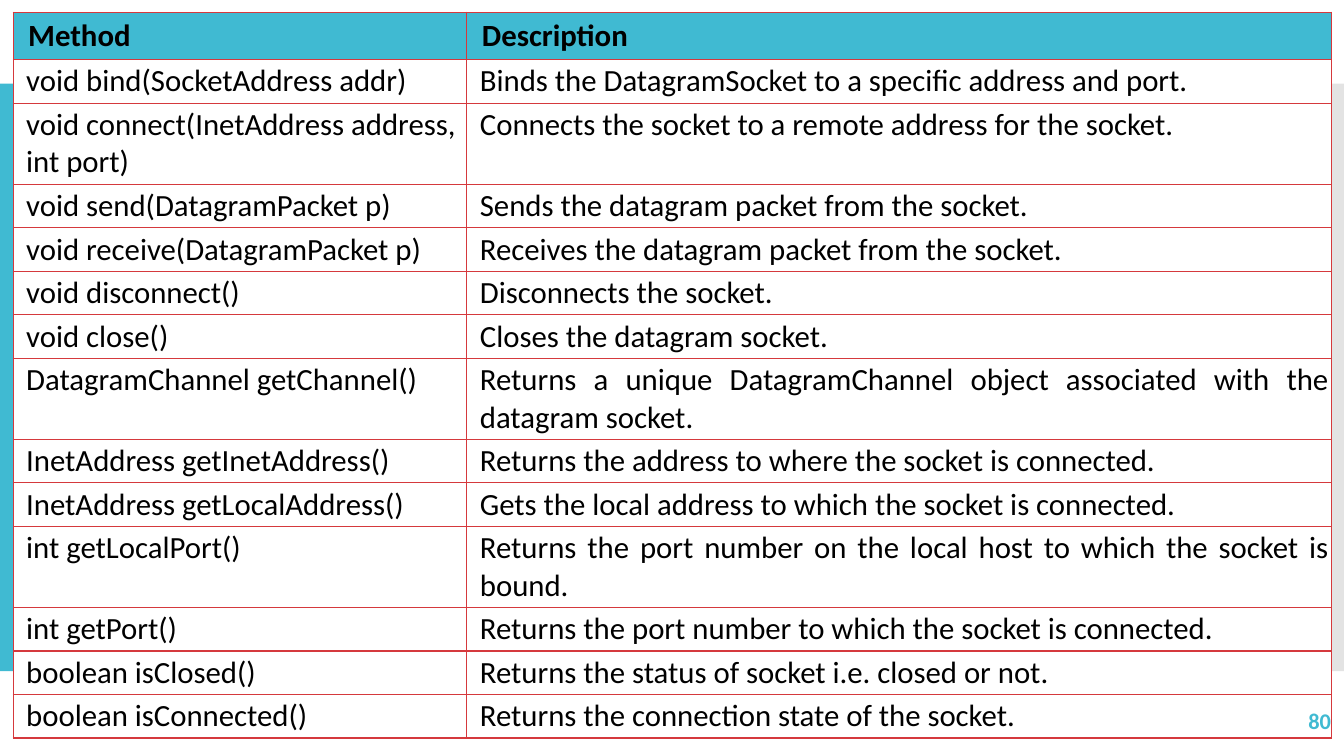
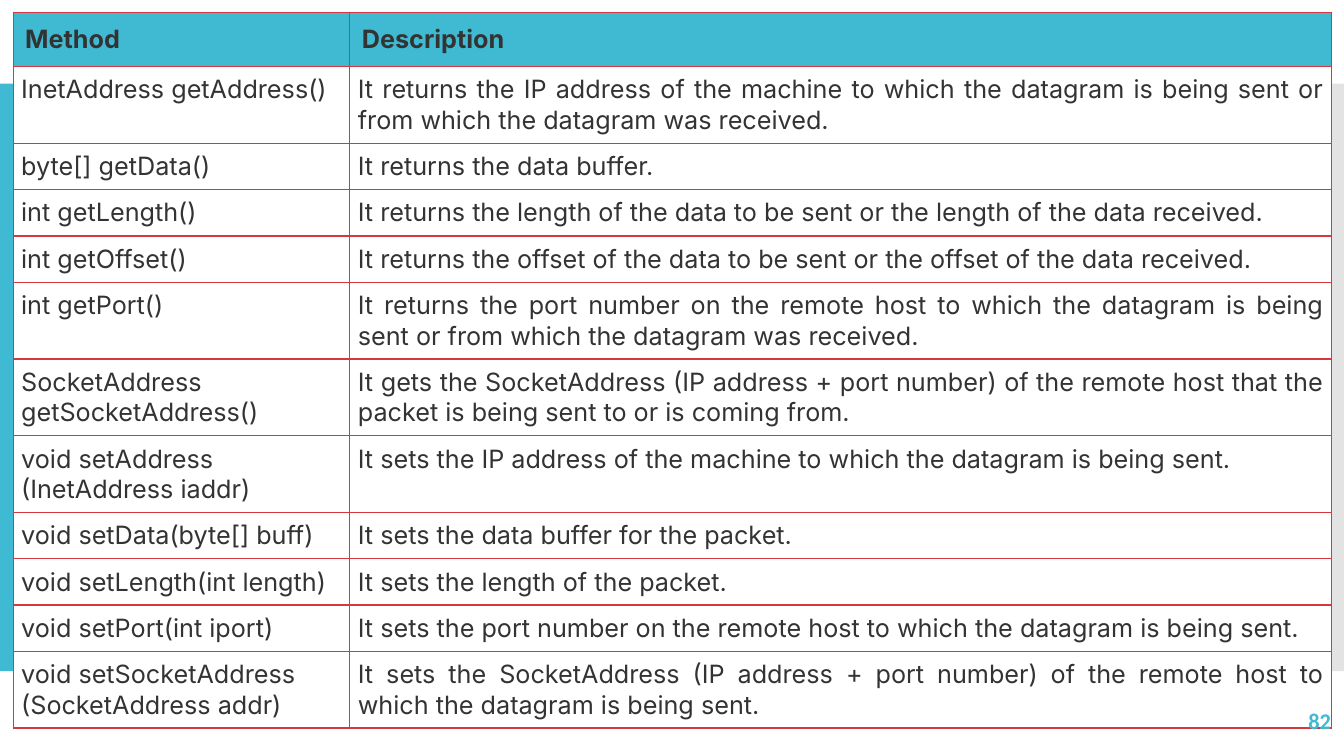
from lxml import etree
from pptx import Presentation
from pptx.dml.color import RGBColor
from pptx.enum.shapes import MSO_SHAPE
from pptx.enum.text import MSO_ANCHOR, PP_ALIGN
from pptx.oxml.ns import qn
from pptx.util import Inches, Pt

RECTANGLE = MSO_SHAPE.RECTANGLE
MIDDLE = MSO_ANCHOR.MIDDLE
LEFT, RIGHT, JUSTIFY = PP_ALIGN.LEFT, PP_ALIGN.RIGHT, PP_ALIGN.JUSTIFY

TEAL, GRAY, WHITE = "40BAD2", "C8C8C8", "FFFFFF"
BLACK, CHARCOAL, RED = "000000", "333333", "D5393D"
BLANK_LAYOUT = 6
BORDER_WIDTH = 1
TABLE_LEFT, TABLE_TOP, ROW_HEIGHT = 0.13, 0.12, 0.4
HEADER = ("Method", "Description")

SOCKET_METHODS = [
    ("void bind(SocketAddress addr)", "Binds the DatagramSocket to a specific address and port."),
    ("void connect(InetAddress address, int port)",
     "Connects the socket to a remote address for the socket."),
    ("void send(DatagramPacket p)", "Sends the datagram packet from the socket."),
    ("void receive(DatagramPacket p)", "Receives the datagram packet from the socket."),
    ("void disconnect()", "Disconnects the socket."),
    ("void close()", "Closes the datagram socket."),
    ("DatagramChannel getChannel()",
     "Returns a unique DatagramChannel object associated with the datagram socket."),
    ("InetAddress getInetAddress()", "Returns the address to where the socket is connected."),
    ("InetAddress getLocalAddress()", "Gets the local address to which the socket is connected."),
    ("int getLocalPort()",
     "Returns the port number on the local host to which the socket is bound."),
    ("int getPort()", "Returns the port number to which the socket is connected."),
    ("boolean isClosed()", "Returns the status of socket i.e. closed or not."),
    ("boolean isConnected()", "Returns the connection state of the socket."),
]

PACKET_METHODS = [
    ("InetAddress getAddress()",
     "It returns the IP address of the machine to which the datagram is being sent "
     "or from which the datagram was received."),
    ("byte[] getData()", "It returns the data buffer."),
    ("int getLength()",
     "It returns the length of the data to be sent or the length of the data received."),
    ("int getOffset()",
     "It returns the offset of the data to be sent or the offset of the data received."),
    ("int getPort()",
     "It returns the port number on the remote host to which the datagram is being sent "
     "or from which the datagram was received."),
    ("SocketAddress getSocketAddress()",
     "It gets the SocketAddress (IP address + port number) of the remote host "
     "that the packet is being sent to or is coming from."),
    ("void setAddress (InetAddress iaddr)",
     "It sets the IP address of the machine to which the datagram is being sent."),
    ("void setData(byte[] buff)", "It sets the data buffer for the packet."),
    ("void setLength(int length)", "It sets the length of the packet."),
    ("void setPort(int iport)",
     "It sets the port number on the remote host to which the datagram is being sent."),
    ("void setSocketAddress (SocketAddress addr)",
     "It sets the SocketAddress (IP address + port number) of the remote host "
     "to which the datagram is being sent."),
]


def paint(fill, color):
    fill.solid()
    fill.fore_color.rgb = RGBColor.from_string(color)


def write(frame, text, *, font, size, color, bold=False, align=LEFT, indent=0):
    paragraph = frame.paragraphs[0]
    paragraph.alignment = align
    if indent:
        properties = paragraph._p.get_or_add_pPr()
        properties.set("marL", str(Inches(indent)))
        properties.set("indent", "0")
    run = paragraph.add_run()
    run.text = text
    run.font.name = font
    run.font.size = Pt(size)
    run.font.bold = bold
    paint(run.font.fill, color)


def add_band(slide, left, width, color, opacity=100):
    band = slide.shapes.add_shape(
        RECTANGLE, Inches(left), Inches(0.83), Inches(width), Inches(5.83))
    band.shadow.inherit = False
    band.line.fill.background()
    paint(band.fill, color)
    if opacity < 100:
        tint = band._element.spPr.find(qn("a:solidFill"))[0]
        etree.SubElement(tint, qn("a:alpha"), val=str(opacity * 1000))


def add_page_number(slide, number):
    box = slide.shapes.add_textbox(Inches(11.63), Inches(6.95), Inches(1.67), Inches(0.4))
    box.text_frame.word_wrap = True
    box.text_frame.vertical_anchor = MIDDLE
    write(box.text_frame, str(number), font="Calibri", size=16, color=TEAL,
          bold=True, align=RIGHT)


def add_borders(cell):
    properties = cell._tc.get_or_add_tcPr()
    for side in ("lnL", "lnR", "lnT", "lnB"):
        border = etree.SubElement(properties, qn(f"a:{side}"), w=str(Pt(BORDER_WIDTH)))
        fill = etree.SubElement(border, qn("a:solidFill"))
        etree.SubElement(fill, qn("a:srgbClr"), val=RED)


def format_cell(cell, fill, inset):
    add_borders(cell)
    paint(cell.fill, fill)
    cell.margin_left = cell.margin_right = Inches(inset)
    cell.margin_top = cell.margin_bottom = Inches(inset)


def add_method_table(slide, methods, widths, header_inset, body_inset, **text_format):
    rows = [HEADER, *methods]
    table = slide.shapes.add_table(
        len(rows), len(widths), Inches(TABLE_LEFT), Inches(TABLE_TOP),
        Inches(sum(widths)), Inches(ROW_HEIGHT * len(rows))).table
    table.first_row = table.horz_banding = False
    for column, width in zip(table.columns, widths):
        column.width = Inches(width)
    for row_index, row in enumerate(rows):
        is_header = row_index == 0
        for column_index, text in enumerate(row):
            cell = table.cell(row_index, column_index)
            format_cell(cell, TEAL if is_header else WHITE,
                        header_inset if is_header else body_inset)
            justified = column_index == 1 and not is_header
            write(cell.text_frame, text, bold=is_header,
                  align=JUSTIFY if justified else LEFT, **text_format)


def add_method_slide(deck, number, methods, widths, header_inset, body_inset, **text_format):
    slide = deck.slides.add_slide(deck.slide_layouts[BLANK_LAYOUT])
    add_band(slide, 0, 3.77, TEAL)
    add_band(slide, 12.92, 0.42, GRAY, opacity=50)
    add_method_table(slide, methods, widths, header_inset, body_inset, **text_format)
    add_page_number(slide, number)


def main():
    deck = Presentation()
    deck.slide_width, deck.slide_height = Inches(13.33), Inches(7.5)
    add_method_slide(deck, 80, SOCKET_METHODS, (4.5, 8.58), 0.05, 0.03,
                     font="Calibri", size=22, color=BLACK, indent=0.1)
    add_method_slide(deck, 82, PACKET_METHODS, (3.34, 9.74), 0.12, 0.08,
                     font="Inter", size=18, color=CHARCOAL)
    deck.save("out.pptx")


main()
